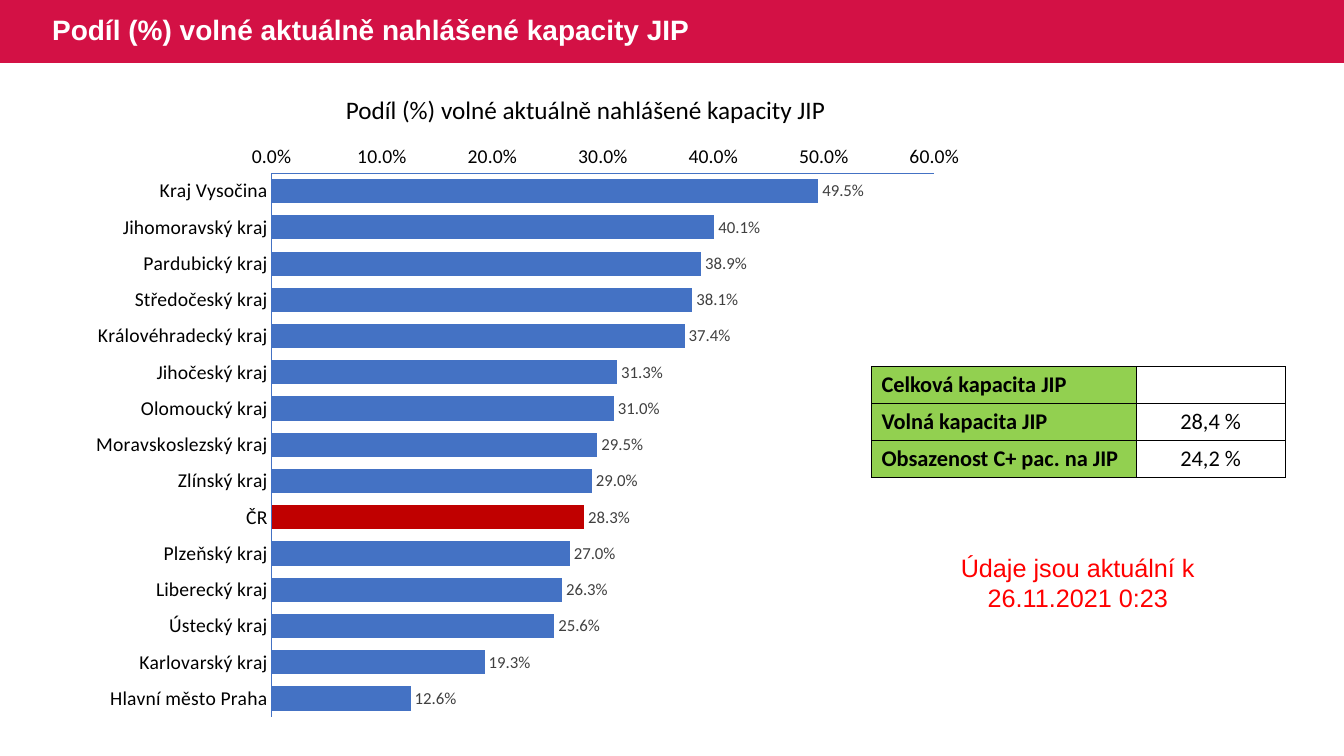
"""Builds the slide on the share of free intensive care capacity by region."""
from dataclasses import dataclass

from lxml import etree
from pptx import Presentation
from pptx.chart.data import CategoryChartData
from pptx.dml.color import RGBColor
from pptx.enum.chart import XL_CHART_TYPE as ChartType
from pptx.enum.chart import XL_LABEL_POSITION as LabelPosition
from pptx.enum.chart import XL_TICK_MARK as TickMark
from pptx.enum.shapes import MSO_SHAPE as Preset
from pptx.enum.text import MSO_ANCHOR as Anchor
from pptx.enum.text import MSO_AUTO_SIZE as AutoSize
from pptx.enum.text import PP_ALIGN as Align
from pptx.oxml import parse_xml
from pptx.oxml.ns import nsdecls, qn
from pptx.util import Pt

EMU_PER_PX = 9525
HEADING = "Podíl (%) volné aktuálně nahlášené kapacity JIP"
FREE_SHARES = {
    "Kraj Vysočina": 0.495,
    "Jihomoravský kraj": 0.401,
    "Pardubický kraj": 0.389,
    "Středočeský kraj": 0.381,
    "Královéhradecký kraj": 0.374,
    "Jihočeský kraj": 0.313,
    "Olomoucký kraj": 0.31,
    "Moravskoslezský kraj": 0.295,
    "Zlínský kraj": 0.29,
    "ČR": 0.283,
    "Plzeňský kraj": 0.27,
    "Liberecký kraj": 0.263,
    "Ústecký kraj": 0.256,
    "Karlovarský kraj": 0.193,
    "Hlavní město Praha": 0.126,
}
CAPACITY_ROWS = [
    ("Celková kapacita JIP", ""),
    ("Volná kapacita JIP", "28,4 %"),
    ("Obsazenost C+ pac. na JIP", "24,2 %"),
]


@dataclass(frozen=True)
class Theme:
    """Colours, fonts and type sizes of the slide."""
    band: str = "D31145"
    bar: str = "4472C4"
    nation: str = "C00000"
    header: str = "92D050"
    light: str = "FFFFFF"
    dark: str = "000000"
    label: str = "404040"
    alert: str = "FF0000"
    heading_font: str = "Arial"
    data_font: str = "Calibri"
    title_size: int = 20
    text_size: int = 18
    table_size: int = 16
    axis_size: int = 14
    label_size: int = 12


def px(length):
    """Turn whole px into EMU."""
    return length * EMU_PER_PX


def apply(target, **values):
    """Set attributes from format values."""
    for name, value in values.items():
        setattr(target, name, value)


class SlideBuilder:
    """Draws elements on one slide in one theme."""

    def __init__(self, slide, theme):
        self.slide = slide
        self.theme = theme

    def style(self, font, name, size, color, bold=False):
        """Format a font."""
        apply(font, name=name, size=Pt(size), bold=bold)
        font.color.rgb = RGBColor.from_string(color)

    def fill_frame(self, frame, text, *style, align=Align.LEFT):
        """Fill a text frame with one styled paragraph."""
        paragraph = frame.paragraphs[0]
        paragraph.alignment = align
        run = paragraph.add_run()
        run.text = text
        self.style(run.font, *style)
        return paragraph

    def band(self, left, top, width, height):
        """Put a coloured band behind everything else."""
        shape = self.slide.shapes.add_shape(Preset.RECTANGLE, *map(px, (left, top, width, height)))
        shape.shadow.inherit = False
        shape.fill.solid()
        shape.fill.fore_color.rgb = RGBColor.from_string(self.theme.band)
        shape.line.fill.background()
        self.slide.shapes._spTree.insert(2, shape._element)

    def title(self, text, left, top, width, height):
        """Move and fill the title placeholder."""
        shape = self.slide.shapes.title
        apply(shape, left=px(left), top=px(top), width=px(width), height=px(height))
        frame = shape.text_frame
        apply(frame, vertical_anchor=Anchor.MIDDLE, word_wrap=True, auto_size=AutoSize.NONE)
        theme = self.theme
        paragraph = self.fill_frame(
            frame, text, theme.heading_font, theme.title_size, theme.light, True)
        paragraph.line_spacing = 0.9

    def text(self, text, left, top, width, height, font, color, wrap=True, align=Align.LEFT):
        """Add a text box that grows with its text."""
        box = self.slide.shapes.add_textbox(*map(px, (left, top, width, height)))
        apply(box.text_frame, word_wrap=wrap, auto_size=AutoSize.SHAPE_TO_FIT_TEXT)
        self.fill_frame(box.text_frame, text, font, self.theme.text_size, color, align=align)

    def bar_chart(self, shares, highlight, left, top, width, height):
        """Add a horizontal bar chart with one highlighted bar."""
        theme = self.theme
        data = CategoryChartData(number_format="0.0%")
        data.categories = list(shares)
        data.add_series("Series 1", list(shares.values()))
        frame = self.slide.shapes.add_chart(
            ChartType.BAR_CLUSTERED, *map(px, (left, top, width, height)), data)
        chart = frame.chart
        apply(chart, has_title=False, has_legend=False)
        self.style(chart.font, theme.data_font, theme.label_size, theme.dark)
        for axis in (chart.category_axis, chart.value_axis):
            apply(axis, has_major_gridlines=False,
                  major_tick_mark=TickMark.NONE, minor_tick_mark=TickMark.NONE)
            self.style(axis.tick_labels.font, theme.data_font, theme.axis_size, theme.dark)
            axis.format.line.width = Pt(0.75)
            axis.format.line.color.rgb = RGBColor.from_string(theme.bar)
        chart.category_axis.reverse_order = True
        apply(chart.value_axis, minimum_scale=0, maximum_scale=0.6, major_unit=0.1)
        percent = {"number_format": "0.0%", "number_format_is_linked": False}
        apply(chart.value_axis.tick_labels, **percent)
        plot = chart.plots[0]
        apply(plot, gap_width=50, vary_by_categories=False, has_data_labels=True)
        apply(plot.data_labels, show_value=True, position=LabelPosition.OUTSIDE_END, **percent)
        self.style(plot.data_labels.font, theme.data_font, theme.label_size, theme.label)
        series = plot.series[0]
        point = series.points[list(shares).index(highlight)]
        for part, color in ((series, theme.bar), (point, theme.nation)):
            part.format.fill.solid()
            part.format.fill.fore_color.rgb = RGBColor.from_string(color)
        self.place_plot(chart, x=0.22, y=0.07, w=0.74, h=0.91)

    def place_plot(self, chart, **fractions):
        """Fix the inner plot area as fractions of the chart."""
        modes = {"layoutTarget": "inner", "xMode": "edge", "yMode": "edge"}
        parts = "".join(f'<c:{name} val="{value}"/>' for name, value in (modes | fractions).items())
        layout = parse_xml(f'<c:layout {nsdecls("c")}><c:manualLayout>{parts}</c:manualLayout></c:layout>')
        area = chart._chartSpace.find(".//" + qn("c:plotArea"))
        for old in area.findall(qn("c:layout")):
            area.remove(old)
        area.insert(0, layout)

    def table(self, rows, left, top, column_widths, row_height):
        """Add a bordered table with a coloured first column."""
        theme = self.theme
        frame = self.slide.shapes.add_table(
            len(rows), len(column_widths),
            *map(px, (left, top, sum(column_widths), row_height * len(rows))))
        table = frame.table
        apply(table, first_row=False, horz_banding=False)
        for column, width in zip(table.columns, column_widths):
            column.width = px(width)
        style = (theme.data_font, theme.table_size, theme.dark)
        for row, (label, value) in enumerate(rows):
            table.rows[row].height = px(row_height)
            name_cell, value_cell = table.cell(row, 0), table.cell(row, 1)
            for cell in (name_cell, value_cell):
                self.border(cell)
            name_cell.fill.solid()
            name_cell.fill.fore_color.rgb = RGBColor.from_string(theme.header)
            value_cell.fill.background()
            value_cell.vertical_anchor = Anchor.MIDDLE
            self.fill_frame(name_cell.text_frame, label, *style, True)
            if value:
                self.fill_frame(value_cell.text_frame, value, *style, align=Align.CENTER)
            else:
                paragraph = value_cell.text_frame.paragraphs[0]._p
                etree.SubElement(paragraph, qn("a:endParaRPr"), sz=str(theme.table_size * 100))

    def border(self, cell):
        """Draw a thin line on all four sides of a cell."""
        properties = cell._tc.get_or_add_tcPr()
        for side in ("lnL", "lnR", "lnT", "lnB"):
            line = etree.SubElement(properties, qn(f"a:{side}"), w=str(int(Pt(0.75))))
            fill = etree.SubElement(line, qn("a:solidFill"))
            etree.SubElement(fill, qn("a:srgbClr"), val=self.theme.dark)


def main():
    """Build and save the presentation."""
    presentation = Presentation()
    apply(presentation, slide_width=px(1280), slide_height=px(720))
    theme = Theme()
    builder = SlideBuilder(presentation.slides.add_slide(presentation.slide_layouts[5]), theme)
    builder.band(0, 0, 1280, 60)
    builder.title(HEADING, 40, 0, 1110, 60)
    builder.bar_chart(FREE_SHARES, "ČR", 71, 125, 853, 569)
    builder.text(HEADING, 320, 85, 492, 38, theme.data_font, theme.dark, wrap=False)
    builder.text("Údaje jsou aktuální k 26.11.2021 0:23", 904, 521, 245, 68,
                 theme.heading_font, theme.alert, align=Align.CENTER)
    builder.table(CAPACITY_ROWS, 830, 349, (252, 142), 35)
    presentation.save("out.pptx")


if __name__ == "__main__":
    main()
